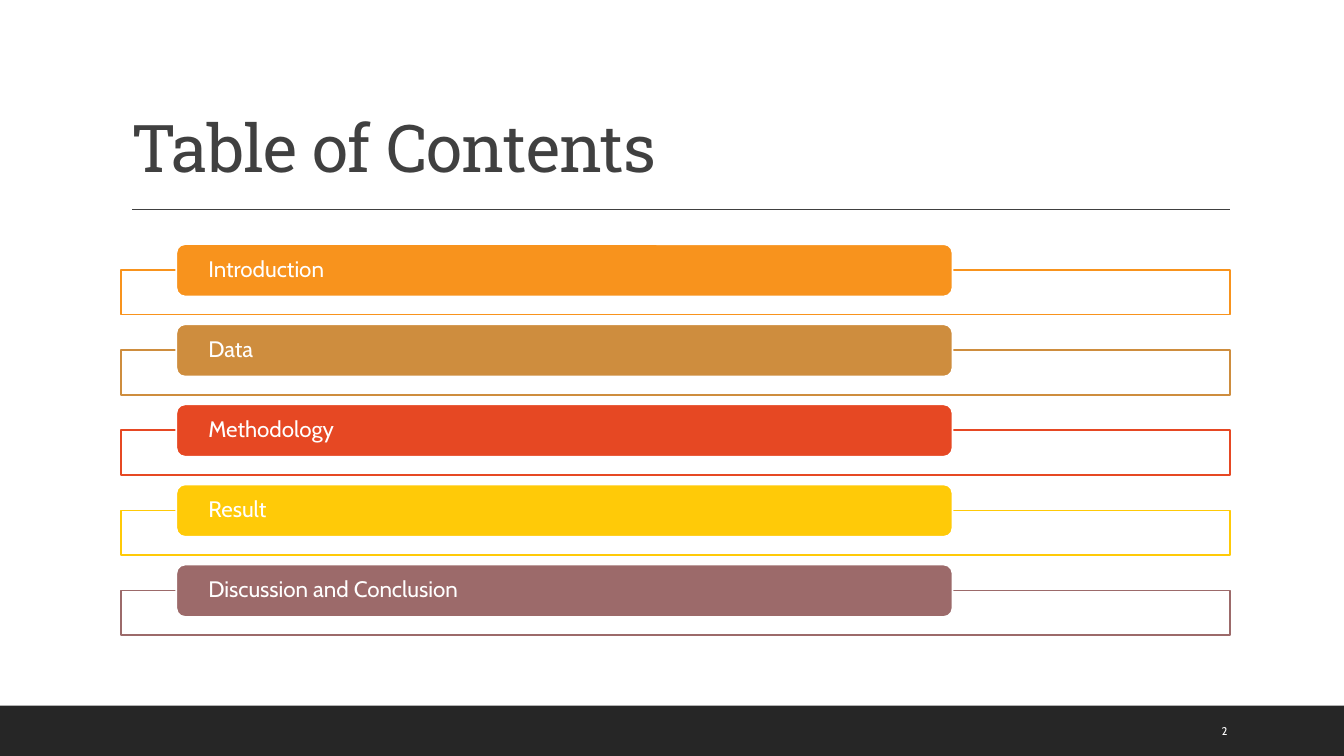
from pptx import Presentation
from pptx.dml.color import RGBColor
from pptx.enum.shapes import MSO_CONNECTOR, MSO_SHAPE
from pptx.enum.text import MSO_ANCHOR, MSO_AUTO_SIZE, PP_ALIGN
from pptx.oxml.ns import qn
from pptx.util import Pt

RECT, ROUND = MSO_SHAPE.RECTANGLE, MSO_SHAPE.ROUNDED_RECTANGLE
LINE = MSO_CONNECTOR.STRAIGHT
MIDDLE, BOTTOM = MSO_ANCHOR.MIDDLE, MSO_ANCHOR.BOTTOM
LEFT, NO_FIT = PP_ALIGN.LEFT, MSO_AUTO_SIZE.NONE

WIDTH, HEIGHT = 960, 540
DARK, INK, WHITE = "262626", "404040", "FFFFFF"
HEAD, BODY = "Roboto Slab", "Cabin"
TOPICS = [
    ("Introduction", "F8931D"),
    ("Data", "CE8D3E"),
    ("Methodology", "E64823"),
    ("Result", "FFCA08"),
    ("Discussion and Conclusion", "9C6A6A"),
]


def paint(color, hue):
    """Set a fill, line or font colour from a hex string."""
    color.rgb = RGBColor.from_string(hue)


def add_box(slide, kind, box, fill, edge=None):
    """Add a filled shape, outlined when an edge colour is given."""
    shape = slide.shapes.add_shape(kind, *map(Pt, box))
    shape.shadow.inherit = False
    shape.fill.solid()
    paint(shape.fill.fore_color, fill)
    if edge:
        paint(shape.line.color, edge)
        shape.line.width = Pt(1.25)
    else:
        shape.line.fill.background()
    return shape


def set_text(shape, text, face, size, hue, anchor):
    """Write one left-aligned paragraph and return it."""
    frame = shape.text_frame
    frame.word_wrap = True
    frame.auto_size = NO_FIT
    frame.vertical_anchor = anchor
    para = frame.paragraphs[0]
    para.text = text
    para.alignment = LEFT
    font = para.font
    font.name, font.size = face, Pt(size)
    paint(font.color, hue)
    return para


def add_title(slide, box, text):
    """Place the title in its box with a rule below it."""
    left, top, width, height = box
    title = slide.shapes.title
    title.left, title.top, title.width, title.height = map(Pt, box)
    para = set_text(title, text, HEAD, 47, INK, BOTTOM)
    para.line_spacing = 0.9
    para.runs[0].font._element.set("spc", "-50")
    base = top + height + 13
    rule = slide.shapes.add_connector(
        LINE, Pt(left + 8), Pt(base), Pt(left + width + 0.5), Pt(base))
    paint(rule.line.color, INK)
    rule.line.width = Pt(1)
    props = rule._element.spPr
    props.append(props.makeelement(qn("a:effectLst"), {}))


def add_topics(slide, box, topics):
    """Stack one frame and one label bar per topic, evenly spaced."""
    left, top, width, height = box
    bar, drop, frame = 37.4, 18.6, 31.75
    step = (height - drop - frame) / (len(topics) - 1)
    for i, (text, hue) in enumerate(topics):
        y = top + i * step
        add_box(slide, RECT, (left, y + drop, width, frame), WHITE, hue)
        label = add_box(
            slide, ROUND, (left + width * 0.05, y, width * 0.7, bar), hue, WHITE)
        inner = label.text_frame
        inner.margin_left = inner.margin_right = Pt(21)
        inner.margin_top = inner.margin_bottom = 0
        set_text(label, text, BODY, 16, WHITE, MIDDLE).line_spacing = 0.9


def add_footer(slide, box, number):
    """Draw the dark footer band with the page number."""
    left, top, width, height = box
    add_box(slide, RECT, box, DARK)
    note = slide.shapes.add_textbox(
        Pt(left + width - 94.5), Pt(top + 3.6), Pt(61), Pt(28.8))
    set_text(note, number, BODY, 8, WHITE, MIDDLE)


def main():
    """Build the contents slide and save it."""
    deck = Presentation()
    deck.slide_width, deck.slide_height = Pt(WIDTH), Pt(HEIGHT)
    slide = deck.slides.add_slide(deck.slide_layouts[5])
    add_footer(slide, (0, 504, WIDTH, 36), "2")
    add_title(slide, (86.4, 22.5, 792, 114.25), "Table of Contents")
    add_topics(slide, (86.4, 174.4, 792, 279.2), TOPICS)
    deck.save("out.pptx")


if __name__ == "__main__":
    main()
